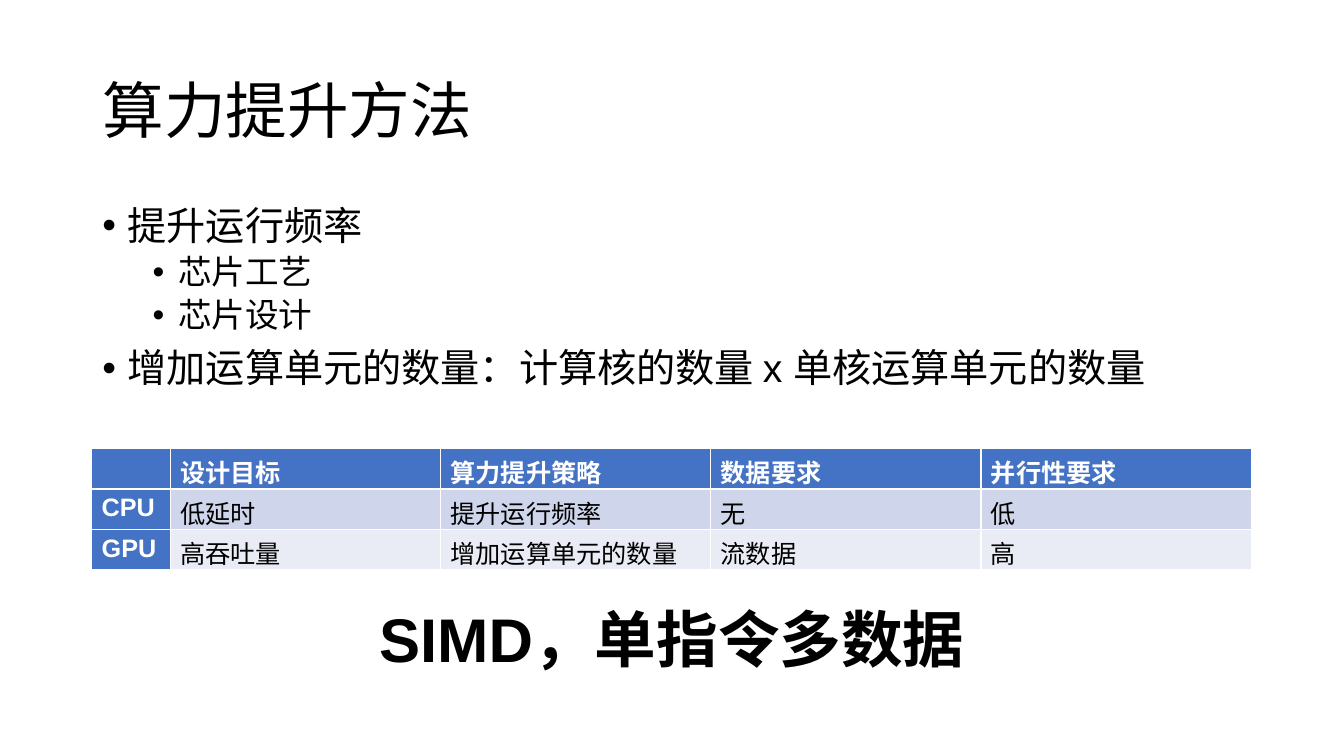
from lxml.etree import SubElement
from pptx import Presentation
from pptx.dml.color import RGBColor
from pptx.enum.text import MSO_ANCHOR, MSO_AUTO_SIZE, PP_ALIGN
from pptx.oxml.ns import qn
from pptx.util import Cm, Pt

COLORS = {
    "text": "000000",
    "header_text": "FFFFFF",
    "header": "4472C4",
    "band_dark": "CFD5EA",
    "band_light": "E9EBF5",
}
FONT = "Arial"
LEFT, WIDTH = Cm(2.33), Cm(29.21)
METHODS = [
    (0, "提升运行频率"),
    (1, "芯片工艺"),
    (1, "芯片设计"),
    (0, "增加运算单元的数量：计算核的数量 x 单核运算单元的数量"),
]
LEVELS = [
    {"size": 28, "before": 10, "indent": Cm(0.64)},
    {"size": 24, "before": 5, "indent": Cm(1.91)},
]
COMPARISON = [
    ["", "设计目标", "算力提升策略", "数据要求", "并行性要求"],
    ["CPU", "低延时", "提升运行频率", "无", "低"],
    ["GPU", "高吞吐量", "增加运算单元的数量", "流数据", "高"],
]


def style(paragraph, size, color="text", bold=False):
    paragraph.font.name = FONT
    paragraph.font.size = Pt(size)
    paragraph.font.bold = bold
    paragraph.font.color.rgb = RGBColor.from_string(COLORS[color])


def add_bullet(paragraph, indent):
    properties = paragraph._p.get_or_add_pPr()
    properties.set("marL", str(indent))
    properties.set("indent", str(-Cm(0.64)))
    SubElement(properties, qn("a:buFont"), typeface=FONT)
    SubElement(properties, qn("a:buChar"), char="•")


def fill_headline(shape, top, text, align, bold=False):
    shape.left, shape.top, shape.width, shape.height = LEFT, top, WIDTH, Cm(3.68)
    frame = shape.text_frame
    frame.word_wrap = True
    frame.auto_size = MSO_AUTO_SIZE.NONE
    frame.vertical_anchor = MSO_ANCHOR.MIDDLE
    headline = frame.paragraphs[0]
    headline.text = text
    headline.alignment = align
    headline.line_spacing = 0.9
    style(headline, 44, bold=bold)


def add_methods(slide):
    frame = slide.shapes.add_textbox(LEFT, Cm(5.07), WIDTH, Cm(12.09)).text_frame
    frame.word_wrap = True
    for index, (level, text) in enumerate(METHODS):
        method = frame.add_paragraph() if index else frame.paragraphs[0]
        look = LEVELS[level]
        method.text = text
        method.level = level
        add_bullet(method, look["indent"])
        method.line_spacing = 0.9
        if index:
            method.space_before = Pt(look["before"])
        style(method, look["size"])


def add_comparison(slide):
    rows, columns = len(COMPARISON), len(COMPARISON[0])
    table = slide.shapes.add_table(
        rows, columns, Cm(2.31), Cm(11.3), WIDTH, Cm(3.06)
    ).table
    table.first_col = True
    for index, column in enumerate(table.columns):
        column.width = Cm(6.81) if index else Cm(1.98)
    for row, values in enumerate(COMPARISON):
        band = "band_dark" if row % 2 else "band_light"
        for column, text in enumerate(values):
            is_header = row == 0 or column == 0
            cell = table.cell(row, column)
            cell.text = text
            cell.fill.solid()
            cell.fill.fore_color.rgb = RGBColor.from_string(
                COLORS["header" if is_header else band]
            )
            style(
                cell.text_frame.paragraphs[0],
                18,
                "header_text" if is_header else "text",
                is_header,
            )


def main():
    deck = Presentation()
    deck.slide_width, deck.slide_height = Cm(33.87), Cm(19.05)
    slide = deck.slides.add_slide(deck.slide_layouts[5])
    fill_headline(slide.shapes.title, Cm(1.01), "算力提升方法", PP_ALIGN.LEFT)
    add_methods(slide)
    add_comparison(slide)
    conclusion = slide.shapes.add_textbox(LEFT, Cm(14.35), WIDTH, Cm(3.68))
    fill_headline(conclusion, Cm(14.35), "SIMD，单指令多数据", PP_ALIGN.CENTER, True)
    deck.save("out.pptx")


if __name__ == "__main__":
    main()
